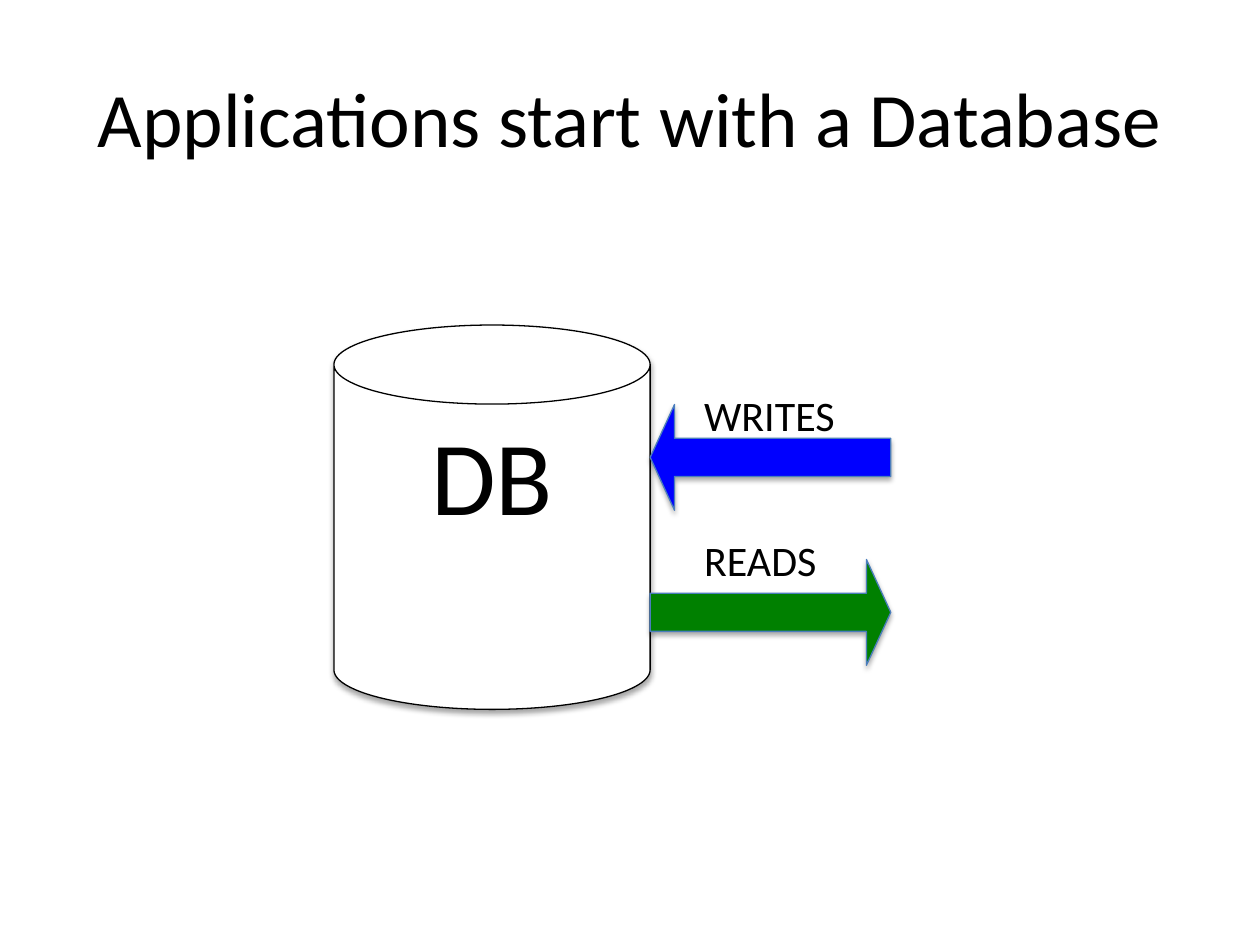
from dataclasses import dataclass

import lxml.etree
import pptx
import pptx.dml.color
import pptx.enum.shapes
import pptx.enum.text
import pptx.oxml
import pptx.oxml.ns
import pptx.util

Inches, Pt = pptx.util.Inches, pptx.util.Pt
RGB = pptx.dml.color.RGBColor.from_string
SHAPE = pptx.enum.shapes.MSO_SHAPE
ANCHOR = pptx.enum.text.MSO_ANCHOR
ALIGN = pptx.enum.text.PP_ALIGN


@dataclass(frozen=True)
class Theme:
    font: str = "Calibri"
    ink: str = "000000"
    paper: str = "FFFFFF"
    arrow_edge: str = "4B7EBC"
    writes: str = "0000FF"
    reads: str = "008000"
    title_size: int = 44
    database_size: int = 60
    label_size: int = 24
    line_width: float = 0.75


theme = Theme()


def write(frame, text, size, align):
    paragraph = frame.paragraphs[0]
    paragraph.text = text
    paragraph.alignment = align
    paragraph.font.name = theme.font
    paragraph.font.size = Pt(size)
    paragraph.font.color.rgb = RGB(theme.ink)


def paint(shape, fill, line):
    """Fill and outline a shape, with a soft shadow straight below it."""
    shape.fill.solid()
    shape.fill.fore_color.rgb = RGB(fill)
    shape.line.color.rgb = RGB(line)
    shape.line.width = Pt(theme.line_width)
    shape.shadow.inherit = False
    effects = shape._element.spPr.find(pptx.oxml.ns.qn("a:effectLst"))
    effects.append(pptx.oxml.parse_xml(
        f'<a:outerShdw {pptx.oxml.ns.nsdecls("a")} blurRad="{Pt(3.1)}" dist="{Pt(1.8)}"'
        ' dir="5400000" rotWithShape="0"><a:srgbClr val="000000">'
        '<a:alpha val="35000"/></a:srgbClr></a:outerShdw>'))


presentation = pptx.Presentation()
presentation.slide_width, presentation.slide_height = Inches(10), Inches(7.5)
slide = presentation.slides.add_slide(presentation.slide_layouts[5])

# Title
title = slide.shapes.title
title.left, title.top = Inches(0.5), Inches(0.3)
title.width, title.height = Inches(9), Inches(1.25)
title.text_frame.vertical_anchor = ANCHOR.MIDDLE
write(title.text_frame, "Applications start with a Database", theme.title_size, ALIGN.CENTER)

# Database cylinder
database = slide.shapes.add_shape(
    SHAPE.CAN, Inches(2.65), Inches(2.58), Inches(2.51), Inches(3.05))
paint(database, theme.paper, theme.ink)
database.text_frame.vertical_anchor = ANCHOR.TOP
write(database.text_frame, "DB", theme.database_size, ALIGN.CENTER)

# Arrows into and out of the database, each with its label
flows = [
    ("WRITES", theme.writes, 180, 3.21, 3.04),
    ("READS", theme.reads, 0, 4.44, 4.19),
]
for name, color, rotation, arrow_top, label_top in flows:
    arrow = slide.shapes.add_shape(
        SHAPE.RIGHT_ARROW, Inches(5.16), Inches(arrow_top), Inches(1.91), Inches(0.84))
    arrow.rotation = rotation
    arrow.adjustments[0], arrow.adjustments[1] = 0.36, 0.23
    paint(arrow, color, theme.arrow_edge)

    label = slide.shapes.add_textbox(
        Inches(5.49), Inches(label_top), Inches(1.34), Inches(0.5))
    label.text_frame.word_wrap = True
    label.text_frame.auto_size = pptx.enum.text.MSO_AUTO_SIZE.SHAPE_TO_FIT_TEXT
    write(label.text_frame, name, theme.label_size, ALIGN.LEFT)

presentation.save("out.pptx")
